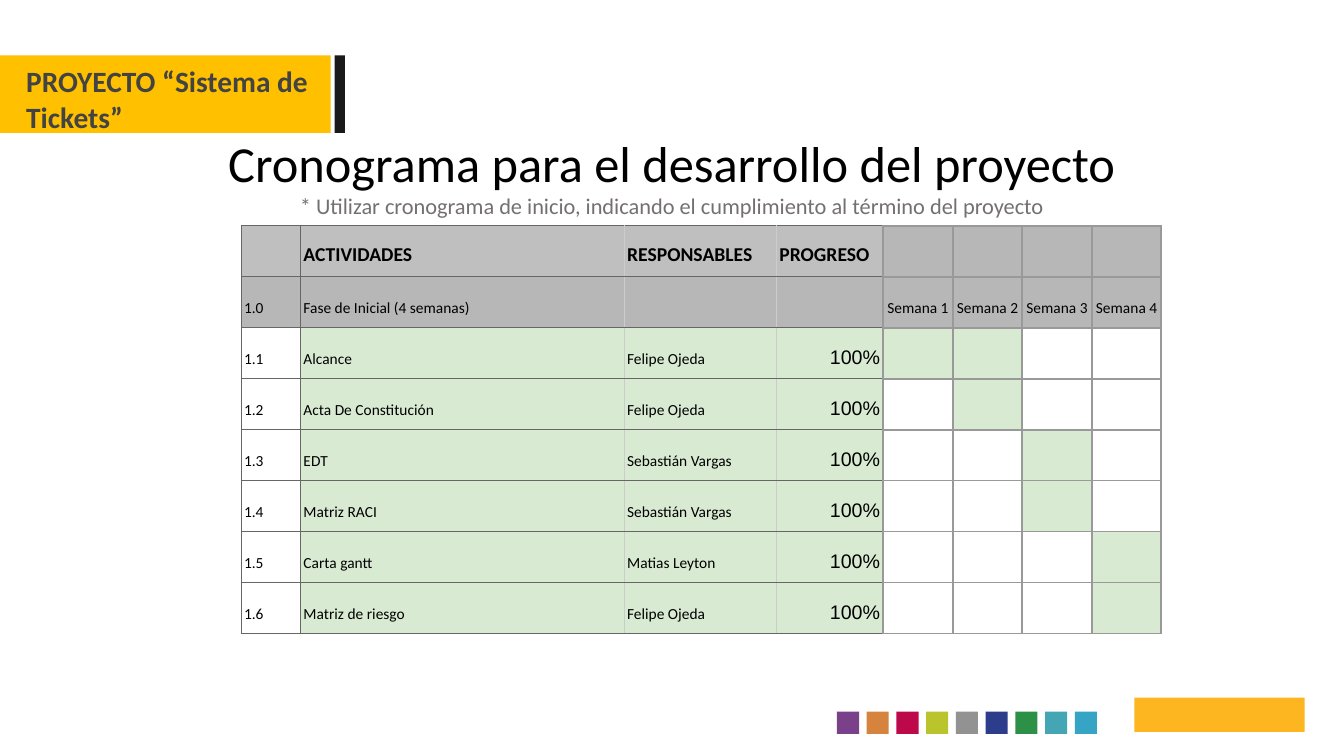
from dataclasses import dataclass

from lxml import etree
from pptx import Presentation
from pptx.dml.color import RGBColor
from pptx.enum.shapes import MSO_SHAPE
from pptx.enum.text import MSO_ANCHOR, MSO_AUTO_SIZE, PP_ALIGN
from pptx.oxml.ns import qn
from pptx.util import Inches, Pt

RECT = MSO_SHAPE.RECTANGLE
TOP, BOTTOM = MSO_ANCHOR.TOP, MSO_ANCHOR.BOTTOM
NO_FIT = MSO_AUTO_SIZE.NONE
LEFT, CENTER, RIGHT = PP_ALIGN.LEFT, PP_ALIGN.CENTER, PP_ALIGN.RIGHT

PROJECT = "PROYECTO “Sistema de Tickets”"
TITLE = "Cronograma para el desarrollo del proyecto"
NOTE = "* Utilizar cronograma de inicio, indicando el cumplimiento al término del proyecto"
HEADERS = ["", "ACTIVIDADES", "RESPONSABLES", "PROGRESO"]
PHASE = ["1.0", "Fase de Inicial (4 semanas)", "", ""]
WEEKS = ["Semana 1", "Semana 2", "Semana 3", "Semana 4"]
TASKS = [
    ("1.1", "Alcance", "Felipe Ojeda", "100%", {1, 2}),
    ("1.2", "Acta De Constitución", "Felipe Ojeda", "100%", {2}),
    ("1.3", "EDT", "Sebastián Vargas", "100%", {3}),
    ("1.4", "Matriz RACI", "Sebastián Vargas", "100%", {3}),
    ("1.5", "Carta gantt", "Matias Leyton", "100%", {4}),
    ("1.6", "Matriz de riesgo", "Felipe Ojeda", "100%", {4}),
]
COL_WIDTHS = [0.59, 3.21, 1.51, 1.06] + [0.69] * len(WEEKS)
ROW_HEIGHT = 0.5
SWATCHES = ["7B408A", "D6843D", "BD0949", "BAC52E", "929292",
            "2C3E8B", "2C9146", "44A6B5", "35A4C5"]


@dataclass(frozen=True)
class Theme:
    """Colours, fonts, type sizes and border styles."""
    font: str = "Calibri"
    number_font: str = "Arial"
    text: str = "000000"
    note: str = "757070"
    project: str = "434343"
    banner: str = "FFC000"
    bar: str = "1A1A1A"
    emblem: str = "FEB620"
    header: str = "BFBFBF"
    phase: str = "B7B7B7"
    done: str = "D9EAD3"
    blank: str = "FFFFFF"
    title_size: float = 36
    note_size: float = 16
    project_size: float = 21
    header_size: float = 14
    cell_size: float = 11
    dark: tuple = ("666666", 0.75)
    light: tuple = ("CCCCCC", 0.75)
    grid: tuple = ("999999", 1.5)


T = Theme()
COLUMN_EDGES = [T.dark, T.dark, T.light, T.light] + [T.grid] * (len(WEEKS) + 1)


def style(p, size, color=T.text, font=T.font, bold=False, align=LEFT):
    """Format a paragraph and its runs."""
    p.alignment = align
    for r in p.runs:
        r.font.name, r.font.size, r.font.bold = font, Pt(size), bold
        r.font.color.rgb = RGBColor.from_string(color)


def add_block(slide, x, y, w, h, color):
    """Add a plain filled rectangle."""
    sp = slide.shapes.add_shape(RECT, Inches(x), Inches(y), Inches(w), Inches(h))
    sp.shadow.inherit = False
    sp.fill.solid()
    sp.fill.fore_color.rgb = RGBColor.from_string(color)
    sp.line.fill.background()


def place(ph, x, y, w, h, text):
    """Move a placeholder to the front, position it and set its text."""
    ph.element.getparent().append(ph.element)
    ph.left, ph.top, ph.width, ph.height = map(Inches, (x, y, w, h))
    tf = ph.text_frame
    tf.text = text
    tf.word_wrap, tf.auto_size, tf.vertical_anchor = True, NO_FIT, TOP
    return tf


def set_borders(cell, left, right, top, bottom):
    """Draw the four borders of a table cell."""
    props = cell._tc.get_or_add_tcPr()
    for tag, (color, width) in zip(("lnL", "lnR", "lnT", "lnB"), (left, right, top, bottom)):
        ln = etree.SubElement(props, qn(f"a:{tag}"), w=str(Pt(width)))
        fill = etree.SubElement(ln, qn("a:solidFill"))
        etree.SubElement(fill, qn("a:srgbClr"), val=color)


def fill_cell(cell, col, text, fill, **text_style):
    """Set borders, fill and text of a schedule cell."""
    rule = T.dark if col < len(HEADERS) else T.grid
    set_borders(cell, COLUMN_EDGES[col], COLUMN_EDGES[col + 1], rule, rule)
    cell.fill.solid()
    cell.fill.fore_color.rgb = RGBColor.from_string(fill)
    cell.margin_left = cell.margin_right = Inches(0.03)
    cell.margin_top = cell.margin_bottom = Inches(0.1)
    cell.vertical_anchor = BOTTOM
    cell.text = text
    p = cell.text_frame.paragraphs[0]
    p.line_spacing = 1.15
    style(p, **text_style)


def add_schedule(slide):
    """Add the schedule table."""
    small = {"size": T.cell_size}
    heading = {"size": T.header_size, "bold": True}
    centred = {"size": T.cell_size, "align": CENTER}
    progress = {"size": T.header_size, "font": T.number_font, "align": RIGHT}
    rows = [
        [(h, T.header, heading) for h in HEADERS] + [("", T.phase, small) for _ in WEEKS],
        [(t, T.phase, small) for t in PHASE] + [(w, T.phase, centred) for w in WEEKS],
    ]
    for number, task, owner, percent, active in TASKS:
        rows.append(
            [(number, T.blank, small), (task, T.done, small),
             (owner, T.done, small), (percent, T.done, progress)]
            + [("", T.done if week in active else T.blank, small)
               for week in range(1, len(WEEKS) + 1)])
    frame = slide.shapes.add_table(
        len(rows), len(COL_WIDTHS), Inches(2.39), Inches(2.24),
        Inches(sum(COL_WIDTHS)), Inches(ROW_HEIGHT * len(rows)))
    table = frame.table
    table.first_row = table.horz_banding = False
    for column, width in zip(table.columns, COL_WIDTHS):
        column.width = Inches(width)
    for i, row in enumerate(rows):
        table.rows[i].height = Inches(ROW_HEIGHT)
        for j, (text, fill, text_style) in enumerate(row):
            fill_cell(table.cell(i, j), j, text, fill, **text_style)


def main():
    """Build the schedule slide."""
    prs = Presentation()
    prs.slide_width, prs.slide_height = Inches(13.33), Inches(7.5)
    slide = prs.slides.add_slide(prs.slide_layouts[1])
    title, body = slide.placeholders[0], slide.placeholders[1]

    add_block(slide, 0, 0.55, 3.28, 0.77, T.banner)
    add_block(slide, 3.32, 0.55, 0.1, 0.77, T.bar)
    add_block(slide, 11.25, 6.92, 1.69, 0.34, T.emblem)
    for i, color in enumerate(SWATCHES):
        add_block(slide, 8.3 + 0.295 * i, 7.06, 0.22, 0.22, color)

    tf = place(title, 0, 1.26, 13.33, 0.98, TITLE)
    style(tf.paragraphs[0], T.title_size, align=CENTER)
    p = tf.add_paragraph()
    p.text = NOTE
    style(p, T.note_size, T.note, align=CENTER)

    tf = place(body, 0.26, 0.63, 2.88, 0.71, PROJECT)
    tf.margin_left = tf.margin_right = tf.margin_top = tf.margin_bottom = 0
    p = tf.paragraphs[0]
    props = p._p.get_or_add_pPr()
    props.set("marL", "0")
    props.set("indent", "0")
    etree.SubElement(props, qn("a:buNone"))
    p.space_before = Pt(0)
    style(p, T.project_size, T.project, bold=True)

    add_schedule(slide)
    prs.save("out.pptx")


if __name__ == "__main__":
    main()
